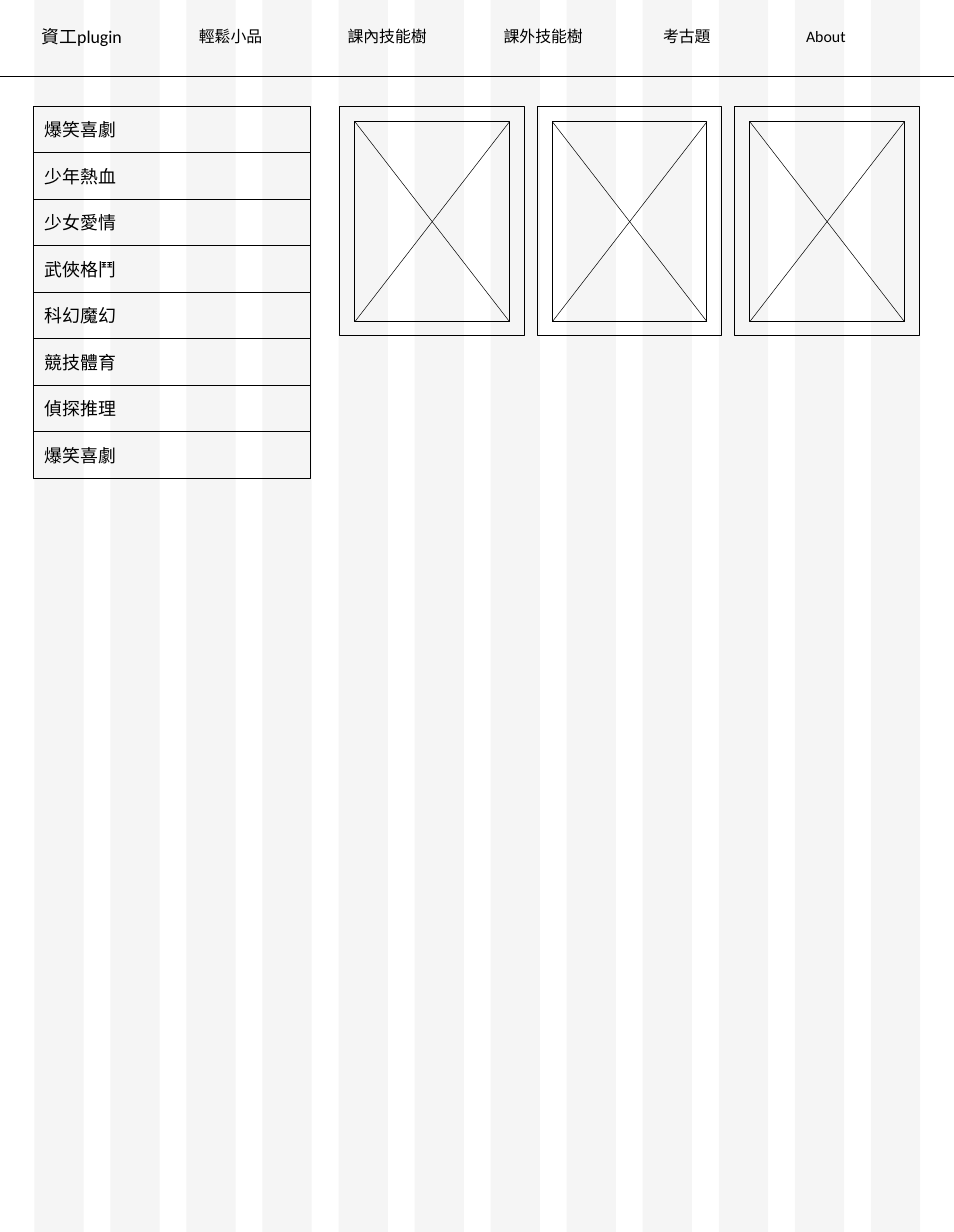
import lxml.etree
import pptx
import pptx.dml.color
import pptx.enum.shapes
import pptx.enum.text
import pptx.oxml.ns
import pptx.util

Cm = pptx.util.Cm
Pt = pptx.util.Pt
qn = pptx.oxml.ns.qn
RECTANGLE = pptx.enum.shapes.MSO_SHAPE.RECTANGLE
MIDDLE = pptx.enum.text.MSO_ANCHOR.MIDDLE
LEFT = pptx.enum.text.PP_ALIGN.LEFT
JUSTIFY = pptx.enum.text.PP_ALIGN.JUSTIFY
BLACK = pptx.dml.color.RGBColor(0x00, 0x00, 0x00)


def add_outline(shapes, left, top, width, height):
    """Add an unfilled rectangle with a black border; lengths in centimetres."""
    shape = shapes.add_shape(RECTANGLE, Cm(left), Cm(top), Cm(width), Cm(height))
    shape.shadow.inherit = False
    shape.fill.background()
    shape.line.color.rgb = BLACK
    shape.line.width = Pt(1)
    return shape


def add_line(shapes, *ends):
    """Add a thin black line; ends are x1, y1, x2, y2 in centimetres."""
    line = shapes.add_connector(
        pptx.enum.shapes.MSO_CONNECTOR.STRAIGHT, *[Cm(end) for end in ends])
    line.line.color.rgb = BLACK
    line.line.width = Pt(0.5)
    lxml.etree.SubElement(line._element.spPr, qn("a:effectLst"))


presentation = pptx.Presentation()
presentation.slide_width = Cm(33.87)
presentation.slide_height = Cm(43.74)
slide = presentation.slides.add_slide(presentation.slide_layouts[6])
shapes = slide.shapes

# Twelve-column layout grid
grid = shapes.add_group_shape()
for column in range(12):
    band = grid.shapes.add_shape(
        RECTANGLE, Cm(1.22 + 2.7 * column), 0, Cm(1.75), presentation.slide_height)
    band.shadow.inherit = False
    band.line.fill.background()
    band.fill.solid()
    band.fill.fore_color.rgb = BLACK
    color = band._element.spPr.find(".//" + qn("a:srgbClr"))
    lxml.etree.SubElement(color, qn("a:alpha")).set("val", "4000")

# Header: text, left, top, width, height, size
add_line(shapes, 0, 2.72, 33.87, 2.72)
header = [
    ("輕鬆小品", 6.81, 0.81, 3.15, 0.94, 16),
    ("課內技能樹", 12.09, 0.81, 3.4, 0.94, 16),
    ("課外技能樹", 17.63, 0.81, 3.53, 0.94, 16),
    ("考古題", 23.29, 0.81, 2.95, 0.94, 16),
    ("About", 28.37, 0.81, 1.98, 0.94, 16),
    ("資工plugin", 1.22, 0.66, 3.45, 1.27, 18),
]
labels = []
for text, left, top, width, height, size in header:
    box = shapes.add_textbox(Cm(left), Cm(top), Cm(width), Cm(height))
    if size == 18:
        box.text_frame.vertical_anchor = MIDDLE
    else:
        box.text_frame.auto_size = pptx.enum.text.MSO_AUTO_SIZE.SHAPE_TO_FIT_TEXT
    labels.append((box, text, size, JUSTIFY))

# Cards with crossed image placeholders
for card in range(3):
    left = 12.07 + 7.01 * card
    add_outline(shapes, left, 3.78, 6.55, 8.15)
    placeholder = shapes.add_group_shape().shapes
    start, end, top, bottom = left + 0.53, left + 6.02, 4.32, 11.42
    add_outline(placeholder, start, top, end - start, bottom - top)
    add_line(placeholder, start, top, end, bottom)
    add_line(placeholder, end, top, start, bottom)

# Category menu
categories = ["爆笑喜劇", "少年熱血", "少女愛情", "武俠格鬥",
              "科幻魔幻", "競技體育", "偵探推理", "爆笑喜劇"]
for row, category in enumerate(categories):
    item = add_outline(shapes, 1.19, 3.78 + 1.65 * row, 9.85, 1.65)
    item.text_frame.vertical_anchor = MIDDLE
    item.text_frame.margin_left = Cm(0.39)
    labels.append((item, category, 18, LEFT))

for shape, text, size, alignment in labels:
    shape.text_frame.word_wrap = True
    paragraph = shape.text_frame.paragraphs[0]
    paragraph.alignment = alignment
    run = paragraph.add_run()
    run.text = text
    run.font.name = "Calibri"
    run.font.size = Pt(size)
    run.font.color.rgb = BLACK

presentation.save("out.pptx")
